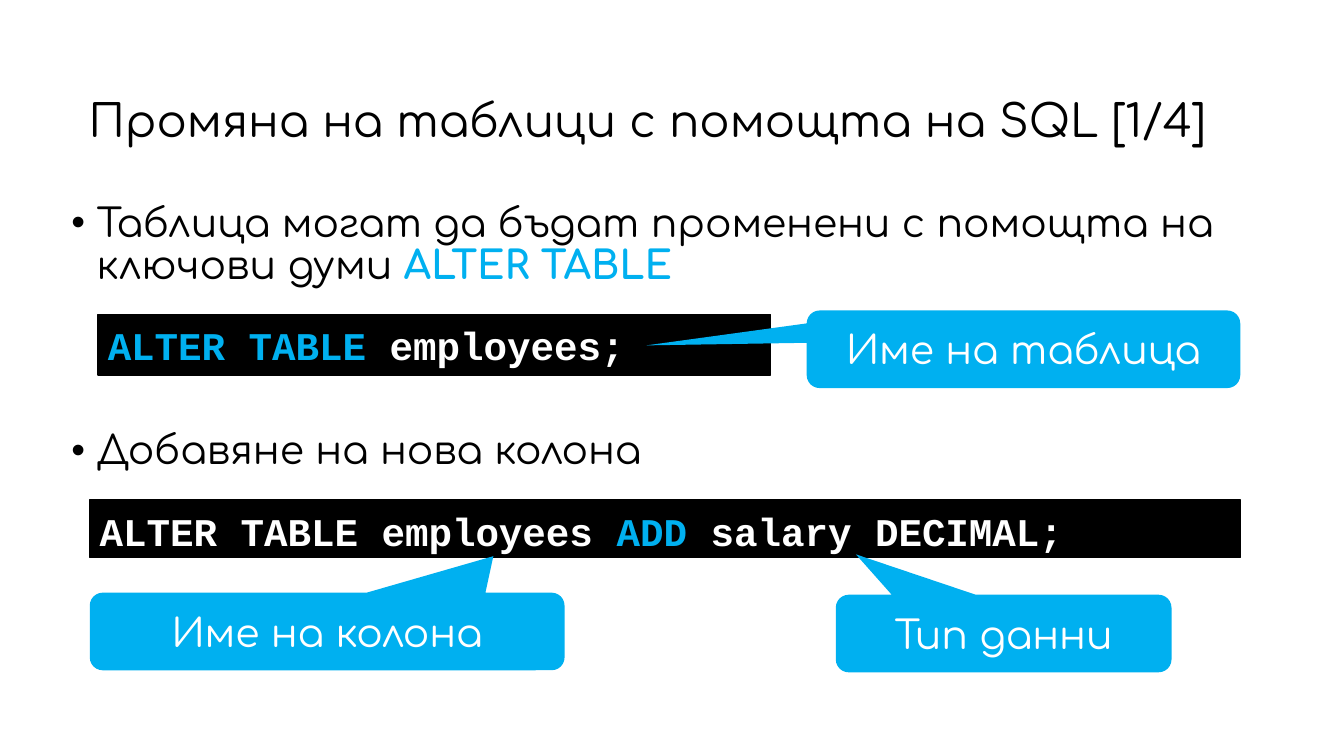
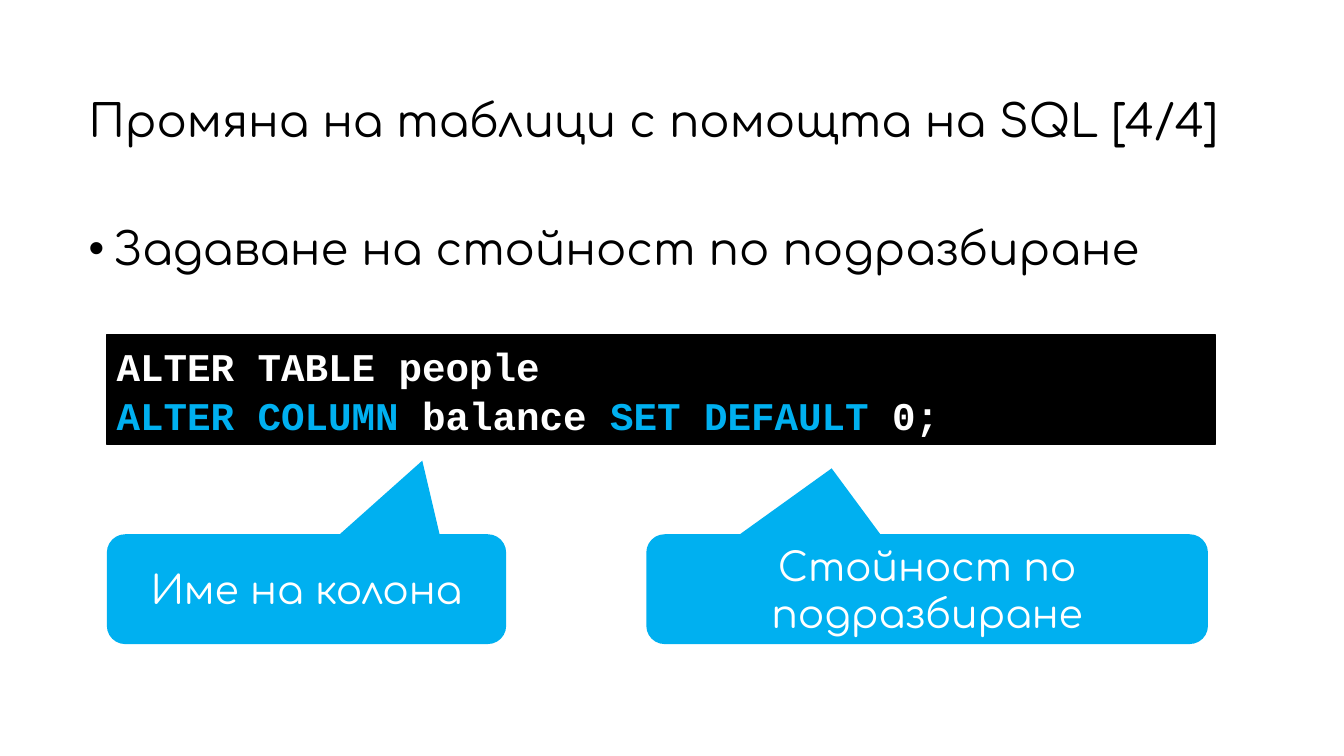
"""Build two slides on altering SQL tables."""
import dataclasses
import typing

import lxml.etree
import pptx
import pptx.dml.color
import pptx.enum.shapes
import pptx.enum.text
import pptx.oxml.ns
import pptx.util

WIDE, HIGH = 13.33, 7.5
INK = {"black": "000000", "white": "FFFFFF", "blue": "00B0F0"}
SANS, MONO = "Comfortaa", "Courier New"
KIND = pptx.enum.shapes.MSO_SHAPE
ALIGN = pptx.enum.text.PP_ALIGN
ANCHOR = pptx.enum.text.MSO_ANCHOR
FIT = pptx.enum.text.MSO_AUTO_SIZE

Run = tuple[str, str, bool]


class Area(typing.NamedTuple):
    """Left, top, width and height in percent of the slide."""
    left: float
    top: float
    width: float
    height: float


class Line(typing.NamedTuple):
    """A paragraph of runs and the points of space before it."""
    runs: list[Run]
    before: float = 0


@dataclasses.dataclass
class Style:
    """Text format and fill of one kind of box."""
    size: int
    font: str = SANS
    fill: str = ""
    edge: str = ""
    shape: typing.Any = KIND.RECTANGLE
    bullet: bool = False
    frame: dict = dataclasses.field(default_factory=dict)
    para: dict = dataclasses.field(default_factory=dict)


@dataclasses.dataclass
class Box:
    """A box of text, with the tip of its callout if it has one."""
    area: Area
    style: Style
    lines: list[Line]
    tip: tuple[float, ...] = ()


TIGHT = {"line_spacing": 0.9, "alignment": ALIGN.LEFT}
MIDDLE = {"vertical_anchor": ANCHOR.MIDDLE}
TITLE = Style(32, frame=MIDDLE, para=TIGHT)
BODY = Style(28, bullet=True, para=TIGHT)
LEAD = dataclasses.replace(BODY, size=32)
CODE = Style(28, MONO, "black", "black",
             frame={"vertical_anchor": ANCHOR.TOP,
                    "auto_size": FIT.SHAPE_TO_FIT_TEXT},
             para={"line_spacing": 1.05, "alignment": ALIGN.LEFT})
NOTE = Style(28, fill="blue", shape=KIND.ROUNDED_RECTANGULAR_CALLOUT,
             frame=MIDDLE, para={"alignment": ALIGN.CENTER})


def tint(name: str) -> pptx.dml.color.RGBColor:
    """Look up a colour by name."""
    return pptx.dml.color.RGBColor.from_string(INK[name])


def apply(part: typing.Any, form: dict) -> None:
    """Set every attribute held in a dict of format values."""
    for key, value in form.items():
        setattr(part, key, value)


def dot(para: typing.Any) -> None:
    """Give a paragraph a hanging bullet."""
    props = para._p.get_or_add_pPr()
    inch = pptx.util.Inches(1)
    props.set("marL", str(inch // 4))
    props.set("indent", str(-inch // 4))
    qn = pptx.oxml.ns.qn
    lxml.etree.SubElement(props, qn("a:buFont"), typeface="Arial")
    lxml.etree.SubElement(props, qn("a:buChar"), char="•")


def write(frame: typing.Any, box: Box) -> None:
    """Fill a text frame with the lines of a box."""
    style = box.style
    apply(frame, {"word_wrap": True, **style.frame})
    for spot, line in enumerate(box.lines):
        para = frame.add_paragraph() if spot else frame.paragraphs[0]
        if style.bullet:
            dot(para)
        apply(para, {"space_before": pptx.util.Pt(line.before), **style.para})
        for text, ink, bold in line.runs:
            run = para.add_run()
            run.text = text
            apply(run.font, {"name": style.font, "bold": bold,
                             "size": pptx.util.Pt(style.size)})
            run.font.color.rgb = tint(ink)


def draw(slide: typing.Any, box: Box) -> None:
    """Draw one box on a slide."""
    style, area = box.style, box.area
    place = [pptx.util.Inches(share * side / 100)
             for share, side in zip(area, (WIDE, HIGH) * 2)]
    if not style.fill:
        write(slide.shapes.add_textbox(*place).text_frame, box)
        return
    shape = slide.shapes.add_shape(style.shape, *place)
    shape.shadow.inherit = False
    shape.fill.solid()
    shape.fill.fore_color.rgb = tint(style.fill)
    if style.edge:
        shape.line.color.rgb = tint(style.edge)
        shape.line.width = pptx.util.Pt(1)
    else:
        shape.line.fill.background()
    for spot, value in enumerate(box.tip):
        shape.adjustments[spot] = value
    write(shape.text_frame, box)


def plain(text: str, ink: str = "black", before: float = 0) -> Line:
    """Make a line of one plain run."""
    return Line([(text, ink, False)], before)


def code(*parts: str) -> Line:
    """Make a bold line of code where parts marked * are blue."""
    return Line([(part.lstrip("*"), "blue" if part[0] == "*" else "white", True)
                 for part in parts])


def head(page: int) -> Box:
    """Make the title shared by the slides."""
    text = f"Промяна на таблици с помощта на SQL [{page}/4]"
    return Box(Area(5.85, 11.47, 89.57, 9.73), TITLE, [plain(text)])


def note(area: Area, text: str, *tip: float) -> Box:
    """Make a blue callout."""
    return Box(area, NOTE, [plain(text, "white")], tip)


PAGES = [
    [
        head(1),
        Box(Area(4.58, 26.27, 91.3, 55.6), BODY, [
            Line([("Таблица могат да бъдат променени с помощта на ключови думи ",
                   "black", False), ("ALTER TABLE", "blue", True)]),
            plain("Добавяне на нова колона", before=102)]),
        Box(Area(6.68, 66.13, 85.6, 7.6), CODE, [
            code("ALTER TABLE employees ", "*ADD", " salary DECIMAL;")]),
        Box(Area(7.28, 41.6, 50.04, 8), CODE, [
            code("*ALTER TABLE ", "employees;")]),
        note(Area(60.02, 41.07, 32.26, 10.27), "Име на таблица", -0.87, -0.05),
        note(Area(6.68, 78.4, 35.33, 10.27), "Име на колона", 0.35, -0.97),
        note(Area(62.19, 78.67, 24.98, 10.27), "Тип данни", -0.44, -1.02),
    ],
    [
        head(4),
        Box(Area(5.85, 29.33, 87.4, 9.73), LEAD, [
            plain("Задаване на стойност по подразбиране")]),
        Box(Area(7.95, 44.27, 82.45, 14.53), CODE, [
            code("ALTER TABLE people"),
            code("*ALTER COLUMN ", "balance ", "*SET DEFAULT ", "0;")]),
        note(Area(7.95, 70.67, 29.71, 14.53), "Име на колона", 0.29, -1.17),
        note(Area(48.09, 70.67, 41.79, 14.53), "Стойност по подразбиране",
             -0.17, -1.1),
    ],
]


def main() -> None:
    """Build and save the slides."""
    deck = pptx.Presentation()
    apply(deck, {"slide_width": pptx.util.Inches(WIDE),
                 "slide_height": pptx.util.Inches(HIGH)})
    for page in PAGES:
        slide = deck.slides.add_slide(deck.slide_layouts[6])
        for box in page:
            draw(slide, box)
    deck.save("out.pptx")


if __name__ == "__main__":
    main()
